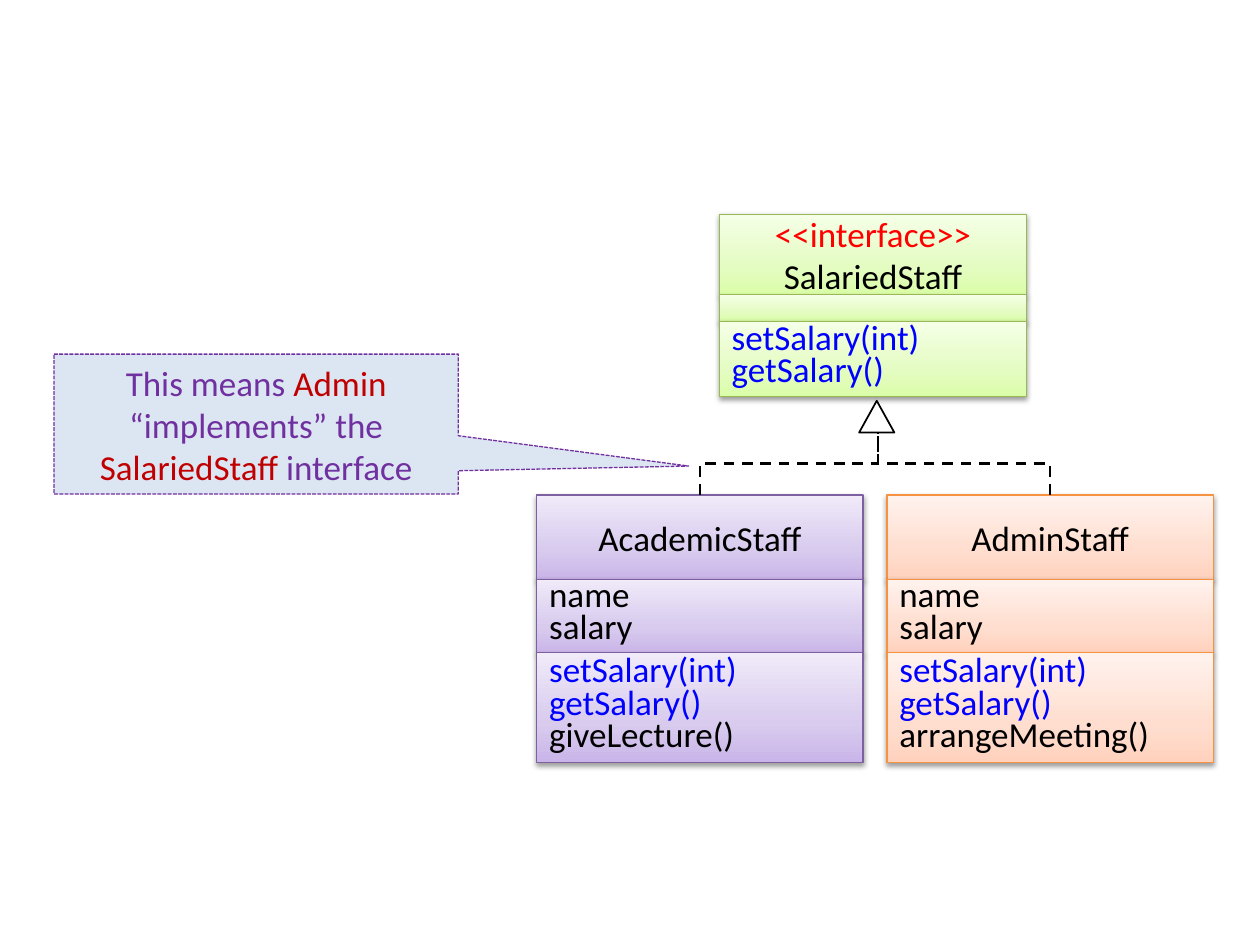
"""Build a class diagram slide showing two staff classes that implement an interface."""
from copy import deepcopy

from lxml import etree
from pptx import Presentation
from pptx.dml.color import RGBColor
from pptx.enum.dml import MSO_LINE
from pptx.enum.shapes import MSO_CONNECTOR, MSO_SHAPE
from pptx.enum.text import MSO_ANCHOR, PP_ALIGN
from pptx.oxml import parse_xml
from pptx.oxml.ns import nsdecls, qn
from pptx.util import Cm, Pt

RECTANGLE = MSO_SHAPE.RECTANGLE
TRIANGLE = MSO_SHAPE.FLOWCHART_EXTRACT
CALLOUT = MSO_SHAPE.RECTANGULAR_CALLOUT
ELBOW = MSO_CONNECTOR.ELBOW
DASH, SHORT_DASH = MSO_LINE.DASH, MSO_LINE.SQUARE_DOT
MIDDLE = MSO_ANCHOR.MIDDLE
LEFT, CENTER = PP_ALIGN.LEFT, PP_ALIGN.CENTER

BLACK = RGBColor(0x00, 0x00, 0x00)
WHITE = RGBColor(0xFF, 0xFF, 0xFF)
RED = RGBColor(0xFF, 0x00, 0x00)
BLUE = RGBColor(0x00, 0x00, 0xFF)
DARK_RED = RGBColor(0xC0, 0x00, 0x00)
VIOLET = RGBColor(0x70, 0x30, 0xA0)
PALE_BLUE = RGBColor(0xDC, 0xE6, 0xF2)
GREEN_LINE = RGBColor(0x98, 0xB9, 0x55)
GREENS = [RGBColor(0xDA, 0xFD, 0xA7), RGBColor(0xE4, 0xFC, 0xC2), RGBColor(0xF5, 0xFF, 0xE7)]
PURPLE_LINE = RGBColor(0x7D, 0x60, 0xA0)
PURPLES = [RGBColor(0xC9, 0xB5, 0xE8), RGBColor(0xD8, 0xCB, 0xEE), RGBColor(0xF0, 0xEA, 0xF9)]
ORANGE_LINE = RGBColor(0xF6, 0x92, 0x40)
ORANGES = [RGBColor(0xFF, 0xD2, 0xBD), RGBColor(0xFF, 0xDE, 0xD0), RGBColor(0xFF, 0xF2, 0xED)]

SHADOW = (
    f'<a:effectLst {nsdecls("a")}><a:outerShdw blurRad="40000" dist="20000" dir="5400000" '
    'rotWithShape="0"><a:srgbClr val="000000"><a:alpha val="38000"/></a:srgbClr>'
    '</a:outerShdw></a:effectLst>'
)


def write_text(shape, paragraphs, align=LEFT, line_spacing=None, space_before=0):
    frame = shape.text_frame
    frame.vertical_anchor = MIDDLE
    for index, spans in enumerate(paragraphs):
        para = frame.add_paragraph() if index else frame.paragraphs[0]
        para.alignment = align
        if line_spacing:
            para.line_spacing = line_spacing
        if index:
            para.space_before = Pt(space_before)
        for text, color in spans:
            span = para.add_run()
            span.text = text
            span.font.name = "Calibri"
            span.font.size = Pt(20)
            span.font.color.rgb = color


def add_compartment(page, left, top, width, height, colors, line_color):
    box = page.shapes.add_shape(RECTANGLE, Cm(left), Cm(top), Cm(width), Cm(height))
    box.fill.gradient()
    box.fill.gradient_angle = 90
    stop_list = box.fill._fill._gradFill.find(qn("a:gsLst"))
    stop_list.insert(1, deepcopy(stop_list[0]))
    for stop, color, position in zip(box.fill.gradient_stops, colors, (0, 0.35, 1)):
        stop.color.rgb = color
        stop.position = position
    box.line.color.rgb = line_color
    box.line.width = Pt(0.75)
    box._element.spPr.append(parse_xml(SHADOW))
    return box


deck = Presentation()
deck.slide_width, deck.slide_height = Cm(25.4), Cm(19.05)
page = deck.slides.add_slide(deck.slide_layouts[6])

trunk_x, children_top, rise = 17.7, 9.98, 1.27
child_width = 6.58
child_edges = (children_top, 11.68, 13.16, 15.37)
accessors = [[("setSalary(int)", BLUE)], [("getSalary()", BLUE)]]
fields = [[("name", BLACK)], [("salary", BLACK)]]

classes = [
    (14.5, 6.2, (4.32, 5.94, 6.48, 8.0), GREENS, GREEN_LINE,
     [[("<<interface>>", RED)], [("SalariedStaff", BLACK)]], [], accessors),
    (10.82, child_width, child_edges, PURPLES, PURPLE_LINE,
     [[("AcademicStaff", BLACK)]], fields, accessors + [[("giveLecture()", BLACK)]]),
    (17.88, child_width, child_edges, ORANGES, ORANGE_LINE,
     [[("AdminStaff", BLACK)]], fields, accessors + [[("arrangeMeeting()", BLACK)]]),
]
for left, width, edges, colors, line_color, title, attributes, methods in classes:
    for top, bottom, content in zip(edges, edges[1:], (title, attributes, methods)):
        box = add_compartment(page, left, top, width, bottom - top, colors, line_color)
        if content is title:
            write_text(box, content, align=CENTER)
        else:
            write_text(box, content, line_spacing=0.6, space_before=4)

for left, width, *_ in classes[1:]:
    child_x = left + width / 2
    side = 1 if child_x < trunk_x else -1
    center_x, center_y = (child_x + trunk_x) / 2, children_top - rise / 2
    half_rise, half_run = side * rise / 2, abs(trunk_x - child_x) / 2
    link = page.shapes.add_connector(
        ELBOW, Cm(center_x + half_rise), Cm(center_y + half_run),
        Cm(center_x - half_rise), Cm(center_y - half_run))
    link._element.spPr.find(qn("a:xfrm")).set("rot", str(side * 90 % 360 * 60000))
    link.line.color.rgb = BLACK
    link.line.width = Pt(1.5)
    link.line.dash_style = DASH
    etree.SubElement(link._element.spPr, qn("a:effectLst"))

arrowhead = page.shapes.add_shape(TRIANGLE, Cm(17.32), Cm(8.08), Cm(0.71), Cm(0.64))
arrowhead.shadow.inherit = False
arrowhead.fill.solid()
arrowhead.fill.fore_color.rgb = WHITE
arrowhead.line.color.rgb = BLACK
arrowhead.line.width = Pt(1)

callout = page.shapes.add_shape(CALLOUT, Cm(1.09), Cm(7.14), Cm(8.15), Cm(2.82))
callout.adjustments[0], callout.adjustments[1] = 1.07, 0.3
callout.shadow.inherit = False
callout.fill.solid()
callout.fill.fore_color.rgb = PALE_BLUE
callout.line.color.rgb = VIOLET
callout.line.width = Pt(0.75)
callout.line.dash_style = SHORT_DASH
write_text(callout, [[
    ("This means ", VIOLET), ("Admin", DARK_RED), (" “implements” the ", VIOLET),
    ("SalariedStaff", DARK_RED), (" interface", VIOLET),
]], align=CENTER)

deck.save("out.pptx")
